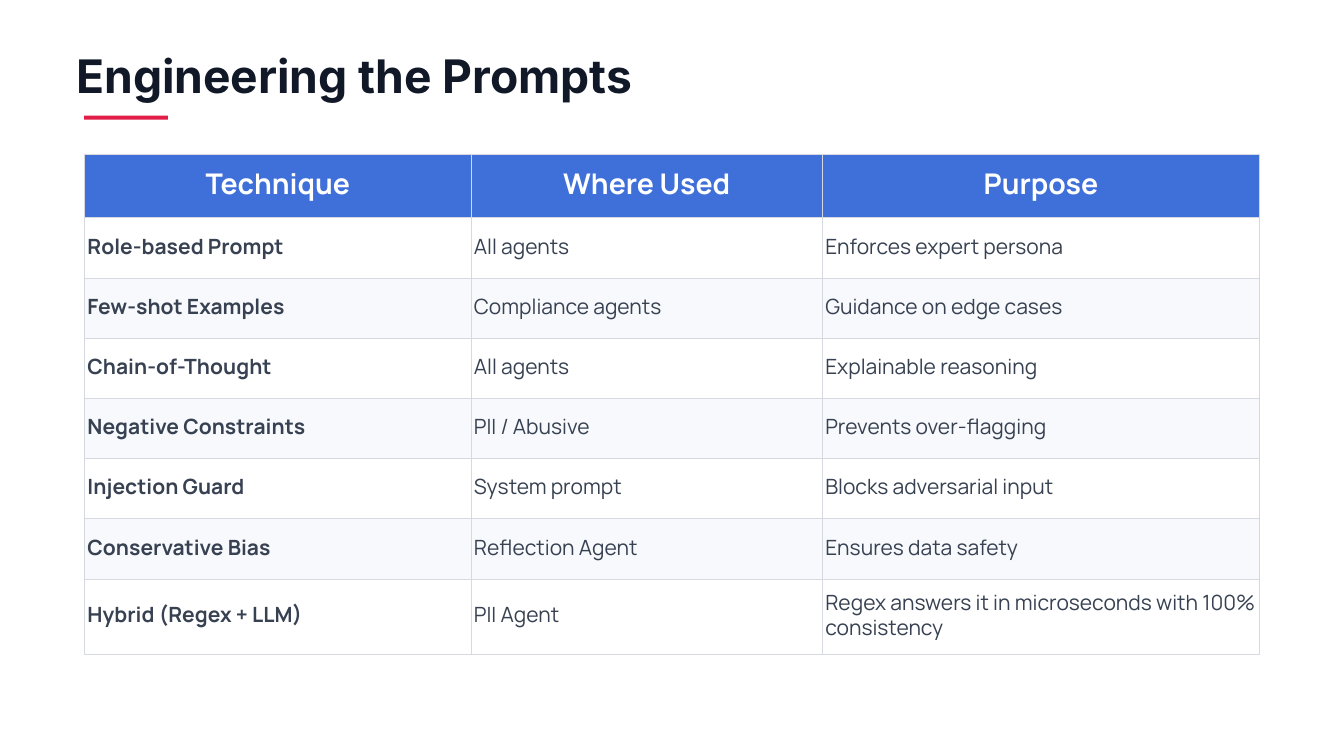
from lxml import etree
from pptx import Presentation
from pptx.dml.color import RGBColor
from pptx.enum.shapes import MSO_SHAPE
from pptx.enum.text import MSO_ANCHOR, PP_ALIGN
from pptx.oxml.ns import qn
from pptx.util import Pt

PX = 9525
TITLE_ONLY = 5
RECTANGLE = MSO_SHAPE.RECTANGLE
TOP, MIDDLE = MSO_ANCHOR.TOP, MSO_ANCHOR.MIDDLE
LEFT, CENTER = PP_ALIGN.LEFT, PP_ALIGN.CENTER

COLUMNS = [552, 502, 624]
ROW_HEIGHTS = [91] + [86] * 6 + [108]
HEADER = ("Technique", "Where Used", "Purpose")
TECHNIQUES = [
    ("Role-based Prompt", "All agents", "Enforces expert persona"),
    ("Few-shot Examples", "Compliance agents", "Guidance on edge cases"),
    ("Chain-of-Thought", "All agents", "Explainable reasoning"),
    ("Negative Constraints", "PII / Abusive", "Prevents over-flagging"),
    ("Injection Guard", "System prompt", "Blocks adversarial input"),
    ("Conservative Bias", "Reflection Agent", "Ensures data safety"),
    ("Hybrid (Regex + LLM)", "PII Agent",
     "Regex answers it in microseconds with 100% consistency"),
]


def px(*values):
    return [v * PX for v in values]


def rgb(color):
    return RGBColor.from_string(color)


def paint(target, color):
    target.fill.solid()
    target.fill.fore_color.rgb = rgb(color)


def write(tf, text, font, size, color, bold, spacing, align=LEFT):
    tf.word_wrap = True
    p = tf.paragraphs[0]
    p.text = text
    p.alignment = align
    p.line_spacing = Pt(spacing)
    p.font.name, p.font.size, p.font.bold = font, Pt(size), bold
    p.font.color.rgb = rgb(color)


def add_title(s, text):
    sp = s.shapes.title
    sp.left, sp.top, sp.width, sp.height = px(109, 68, 1765, 80)
    tf = sp.text_frame
    tf.margin_left = tf.margin_top = tf.margin_right = tf.margin_bottom = 0
    tf.vertical_anchor = TOP
    write(tf, text, "Inter", 49.5, "111827", True, 59.4)


def add_accent(s):
    sp = s.shapes.add_shape(RECTANGLE, *px(120, 165, 120, 6))
    sp.shadow.inherit = False
    sp.line.fill.background()
    paint(sp, "E11D48")


def add_borders(cell, color):
    tcPr = cell._tc.get_or_add_tcPr()
    for i, side in enumerate(("lnL", "lnR", "lnT", "lnB")):
        ln = etree.Element(qn(f"a:{side}"), w=str(Pt(0.75)))
        fill = etree.SubElement(ln, qn("a:solidFill"))
        etree.SubElement(fill, qn("a:srgbClr"), val=color)
        tcPr.insert(i, ln)


def format_cell(cell, text, row, col):
    cell.margin_left, cell.margin_top, cell.margin_right, cell.margin_bottom = px(4, 4, 4, 4)
    cell.vertical_anchor = MIDDLE
    if row == 0:
        paint(cell, "3F6FD9")
        write(cell.text_frame, text, "Manrope", 30.5, "FFFFFF", True, 36.6, CENTER)
    else:
        paint(cell, "FFFFFF" if row % 2 else "F7F9FC")
        write(cell.text_frame, text, "Manrope", 22.5, "374151", col == 0, 27)
    add_borders(cell, "D6D9E0")


def add_technique_table(s):
    rows = [HEADER] + TECHNIQUES
    frame = s.shapes.add_table(len(rows), len(COLUMNS),
                               *px(121, 220, sum(COLUMNS), sum(ROW_HEIGHTS)))
    table = frame.table
    for column, width in zip(table.columns, px(*COLUMNS)):
        column.width = width
    for row, height in zip(table.rows, px(*ROW_HEIGHTS)):
        row.height = height
    for i, texts in enumerate(rows):
        for j, text in enumerate(texts):
            format_cell(table.cell(i, j), text, i, j)


def main():
    prs = Presentation()
    prs.slide_width, prs.slide_height = px(1920, 1080)
    s = prs.slides.add_slide(prs.slide_layouts[TITLE_ONLY])
    paint(s.background, "FFFFFF")
    add_title(s, "Engineering the Prompts")
    add_accent(s)
    add_technique_table(s)
    prs.save("out.pptx")


if __name__ == "__main__":
    main()
